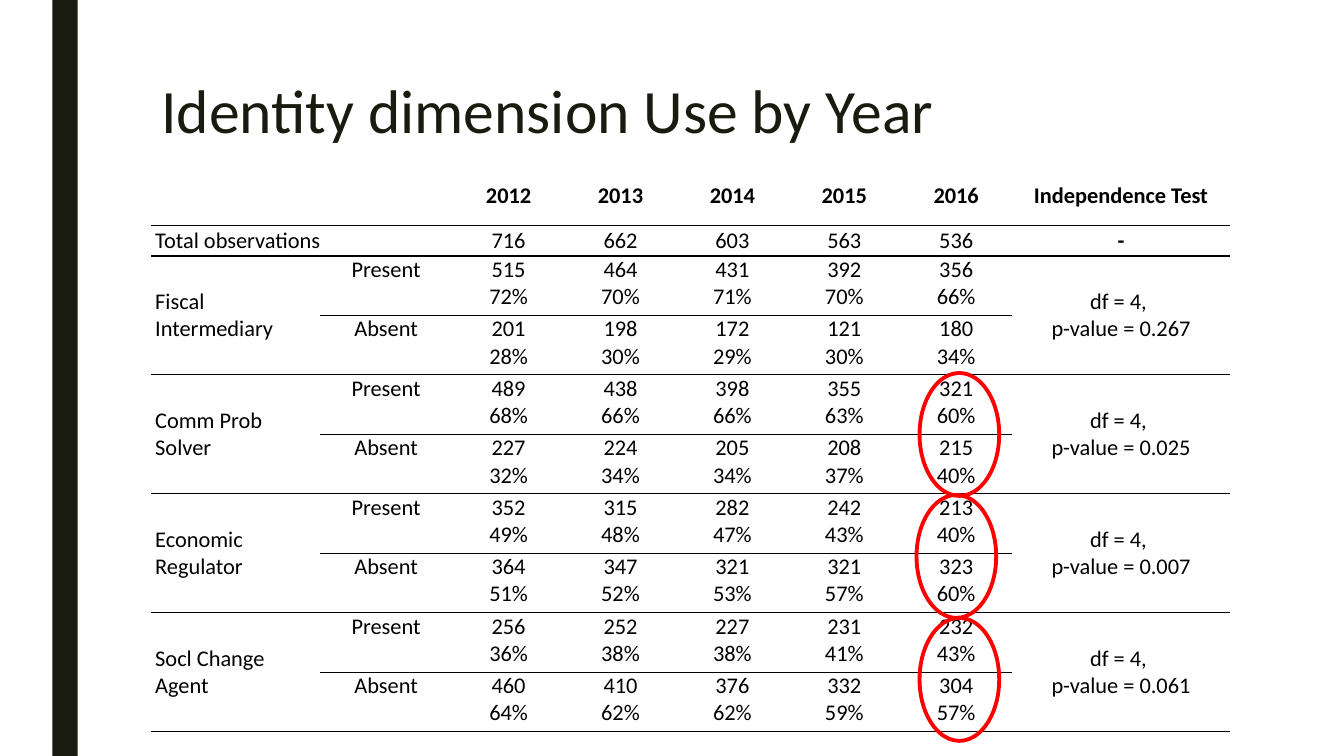
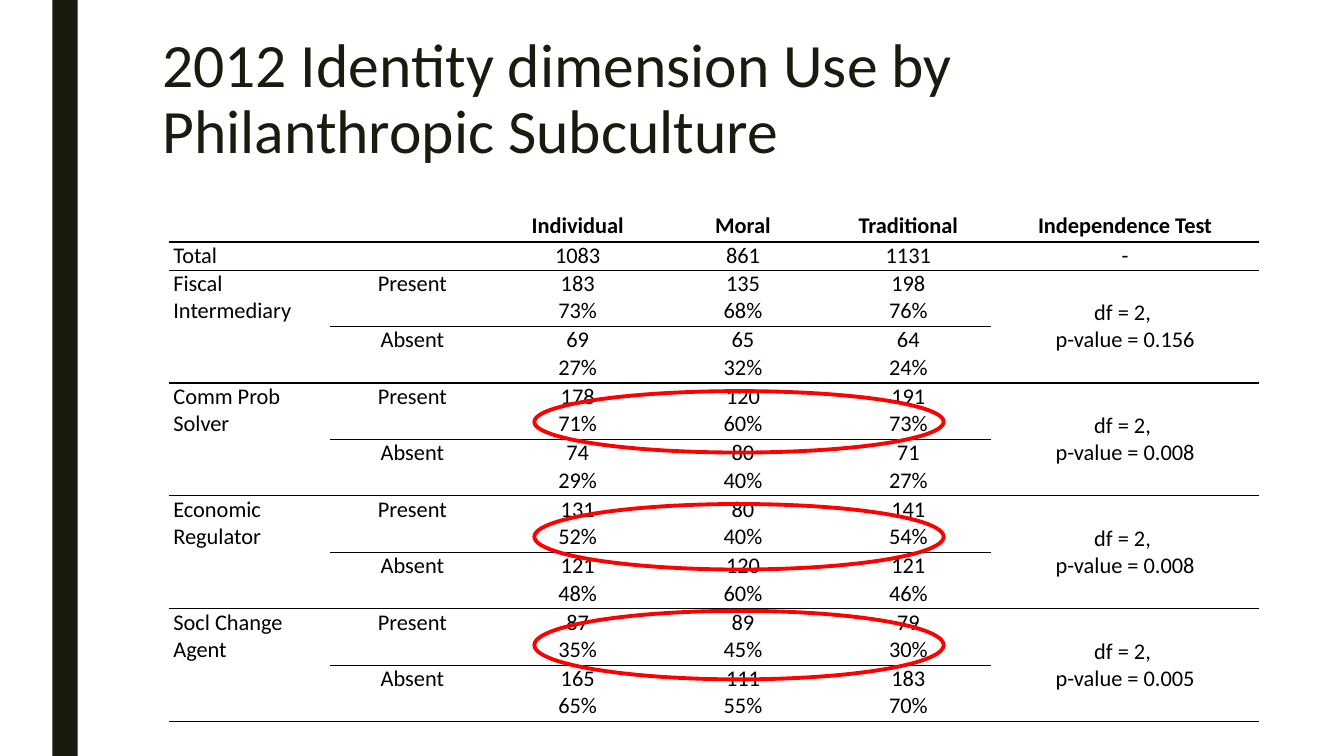
from lxml import etree
from pptx import Presentation
from pptx.dml.color import RGBColor
from pptx.enum.shapes import MSO_SHAPE
from pptx.enum.text import MSO_ANCHOR, MSO_AUTO_SIZE, PP_ALIGN
from pptx.oxml.ns import qn
from pptx.util import Emu, Pt

RECTANGLE, ELLIPSE = MSO_SHAPE.RECTANGLE, MSO_SHAPE.OVAL
TOP, MIDDLE = MSO_ANCHOR.TOP, MSO_ANCHOR.MIDDLE
LEFT, CENTER = PP_ALIGN.LEFT, PP_ALIGN.CENTER
NO_AUTOSIZE = MSO_AUTO_SIZE.NONE

EMU_PER_PX = 9144  # 100 px to the inch
PAGE_WIDTH, PAGE_HEIGHT = 1333, 750
TITLE_ONLY = 5
PLAIN_TABLE = "{2D5ABB26-0587-4C30-8999-92F81FD0307C}"
FONT = "Calibri"
COLORS = {"dark": "191B0E", "text": "000000", "mark": "FF0000"}

YEAR_GROUPS = [
    ("Fiscal Intermediary", "0.267",
     "515 72%, 464 70%, 431 71%, 392 70%, 356 66%",
     "201 28%, 198 30%, 172 29%, 121 30%, 180 34%"),
    ("Comm Prob Solver", "0.025",
     "489 68%, 438 66%, 398 66%, 355 63%, 321 60%",
     "227 32%, 224 34%, 205 34%, 208 37%, 215 40%"),
    ("Economic Regulator", "0.007",
     "352 49%, 315 48%, 282 47%, 242 43%, 213 40%",
     "364 51%, 347 52%, 321 53%, 321 57%, 323 60%"),
    ("Socl Change Agent", "0.061",
     "256 36%, 252 38%, 227 38%, 231 41%, 232 43%",
     "460 64%, 410 62%, 376 62%, 332 59%, 304 57%"),
]
SUBCULTURE_GROUPS = [
    ("Fiscal Intermediary", "0.156",
     "183 73%, 135 68%, 198 76%", "69 27%, 65 32%, 64 24%"),
    ("Comm Prob Solver", "0.008",
     "178 71%, 120 60%, 191 73%", "74 29%, 80 40%, 71 27%"),
    ("Economic Regulator", "0.008",
     "131 52%, 80 40%, 141 54%", "121 48%, 120 60%, 121 46%"),
    ("Socl Change Agent", "0.005",
     "87 35%, 89 45%, 79 30%", "165 65%, 111 55%, 183 70%"),
]


def px(length):
    return Emu(length * EMU_PER_PX)


def color(name):
    return RGBColor.from_string(COLORS[name])


def apply(target, values):
    for name, value in values.items():
        setattr(target, name, value)


def place(shape, box):
    apply(shape, dict(zip(("left", "top", "width", "height"), map(px, box))))


def observation_rows(headings, total_label, totals, freedom, groups):
    """Return the table text, row by row; a newline starts a paragraph."""
    rows = [["", "", *headings, "Independence Test"],
            [total_label, "", *totals, "-"]]
    for label, p_value, present, absent in groups:
        test = f"df = {freedom}, \np-value = {p_value}"
        for name, state, values, result in ((label, "Present", present, test),
                                            ("", "Absent", absent, "")):
            cells = [value.replace(" ", "\n") for value in values.split(", ")]
            rows.append([name, state, *cells, result])
    return rows


class Deck:
    def __init__(self):
        self.file = Presentation()
        self.file.slide_width = px(PAGE_WIDTH)
        self.file.slide_height = px(PAGE_HEIGHT)
        self.layout = self.file.slide_layouts[TITLE_ONLY]
        self.page = None

    def add_page(self, title, box):
        first = self.page is None
        self.page = self.file.slides.add_slide(self.layout)
        if first:
            self.add_band()
        self.set_title(title, box)

    def add_band(self):
        """Draw the side band and move it to the layout, for every page."""
        band = self.add_shape(RECTANGLE, (52, 0, 25, PAGE_HEIGHT))
        band.fill.solid()
        band.fill.fore_color.rgb = color("dark")
        band.line.fill.background()
        self.layout.shapes.element.append(band.element)

    def add_shape(self, kind, box):
        shape = self.page.shapes.add_shape(kind, *map(px, box))
        shape.shadow.inherit = False
        return shape

    def set_title(self, text, box):
        title = self.page.shapes.title
        place(title, box)
        frame = title.text_frame
        apply(frame, {"auto_size": NO_AUTOSIZE, "word_wrap": True,
                      "vertical_anchor": TOP})
        para = frame.paragraphs[0]
        apply(para, {"alignment": LEFT, "line_spacing": 0.89})
        self.add_span(para, text, 44, "dark")

    def add_span(self, para, text, size, color_name, bold=False):
        span = para.add_run()
        span.text = text
        apply(span.font, {"name": FONT, "size": Pt(size), "bold": bold})
        span.font.color.rgb = color(color_name)

    def add_ring(self, box):
        ring = self.add_shape(ELLIPSE, box)
        ring.fill.background()
        ring.line.color.rgb = color("mark")
        ring.line.width = Pt(2.75)

    def add_table(self, rows, corner, widths, heights, label_anchor,
                  bold_cells=()):
        holder = self.page.shapes.add_table(
            len(rows), len(widths),
            *map(px, (*corner, sum(widths), sum(heights))))
        holder.element.find(".//" + qn("a:tableStyleId")).text = PLAIN_TABLE
        table = holder.table
        apply(table, {"first_row": False, "horz_banding": False})
        for column, width in zip(table.columns, widths):
            column.width = px(width)
        for row, height in zip(table.rows, heights):
            row.height = px(height)

        last_row, last_column = len(rows) - 1, len(widths) - 1
        table.cell(1, 0).merge(table.cell(1, 1))
        for top in range(2, last_row, 2):
            for side in (0, last_column):
                table.cell(top, side).merge(table.cell(top + 1, side))

        for r, texts in enumerate(rows):
            for c, text in enumerate(texts):
                cell = table.cell(r, c)
                is_side = c in (0, last_column)
                if r < 2 or c == last_column:
                    anchor = MIDDLE
                else:
                    anchor = label_anchor if c == 0 else TOP
                self.fill_cell(cell, text, anchor,
                               LEFT if c == 0 else CENTER,
                               r == 0 or (r, c) in bold_cells)
                is_lower_half = is_side and r > 2 and r % 2
                if r == last_row or (r == last_row - 1 and is_side):
                    self.add_border(cell, "a:lnB")
                if r > 0 and not is_lower_half:
                    self.add_border(cell, "a:lnT")

    def fill_cell(self, cell, text, anchor, alignment, bold):
        apply(cell, {"margin_left": px(4), "margin_right": px(4),
                     "margin_top": 0, "margin_bottom": 0,
                     "vertical_anchor": anchor})
        cell.fill.background()
        frame = cell.text_frame
        for i, line in enumerate(text.split("\n")):
            para = frame.add_paragraph() if i else frame.paragraphs[0]
            para.alignment = alignment
            self.add_span(para, line, 16, "text", bold)

    def add_border(self, cell, edge):
        """Put a border before the fill; add the bottom edge before the top."""
        border = etree.Element(qn(edge), w=str(Pt(1)))
        fill = etree.SubElement(border, qn("a:solidFill"))
        etree.SubElement(fill, qn("a:srgbClr"), val=COLORS["text"])
        cell._tc.get_or_add_tcPr().insert(0, border)


def main():
    deck = Deck()

    deck.add_page("Identity dimension Use by Year", (150, 75, 1050, 162))
    years = ["2012", "2013", "2014", "2015", "2016"]
    deck.add_table(
        observation_rows(years, "Total observations",
                         ["716", "662", "603", "563", "536"], 4, YEAR_GROUPS),
        (150, 165), [167, 132] + [111] * 5 + [216], [59, 30] + [59] * 8,
        MIDDLE, bold_cells={(1, 7)})
    for left, top in ((912, 370), (909, 491), (912, 613)):
        deck.add_ring((left, top, 79, 122))

    deck.add_page("2012 Identity dimension Use by Philanthropic Subculture",
                  (151, 30, 1050, 162))
    deck.add_table(
        observation_rows(["Individual", "Moral", "Traditional"], "Total",
                         ["1083", "861", "1131"], 2, SUBCULTURE_GROUPS),
        (168, 209), [159] + [164] * 4 + [266], [31, 28] + [56] * 8, TOP)
    for top, height in ((388, 61), (500, 65), (606, 68)):
        deck.add_ring((530, top, 406, height))

    deck.file.save("out.pptx")


if __name__ == "__main__":
    main()
